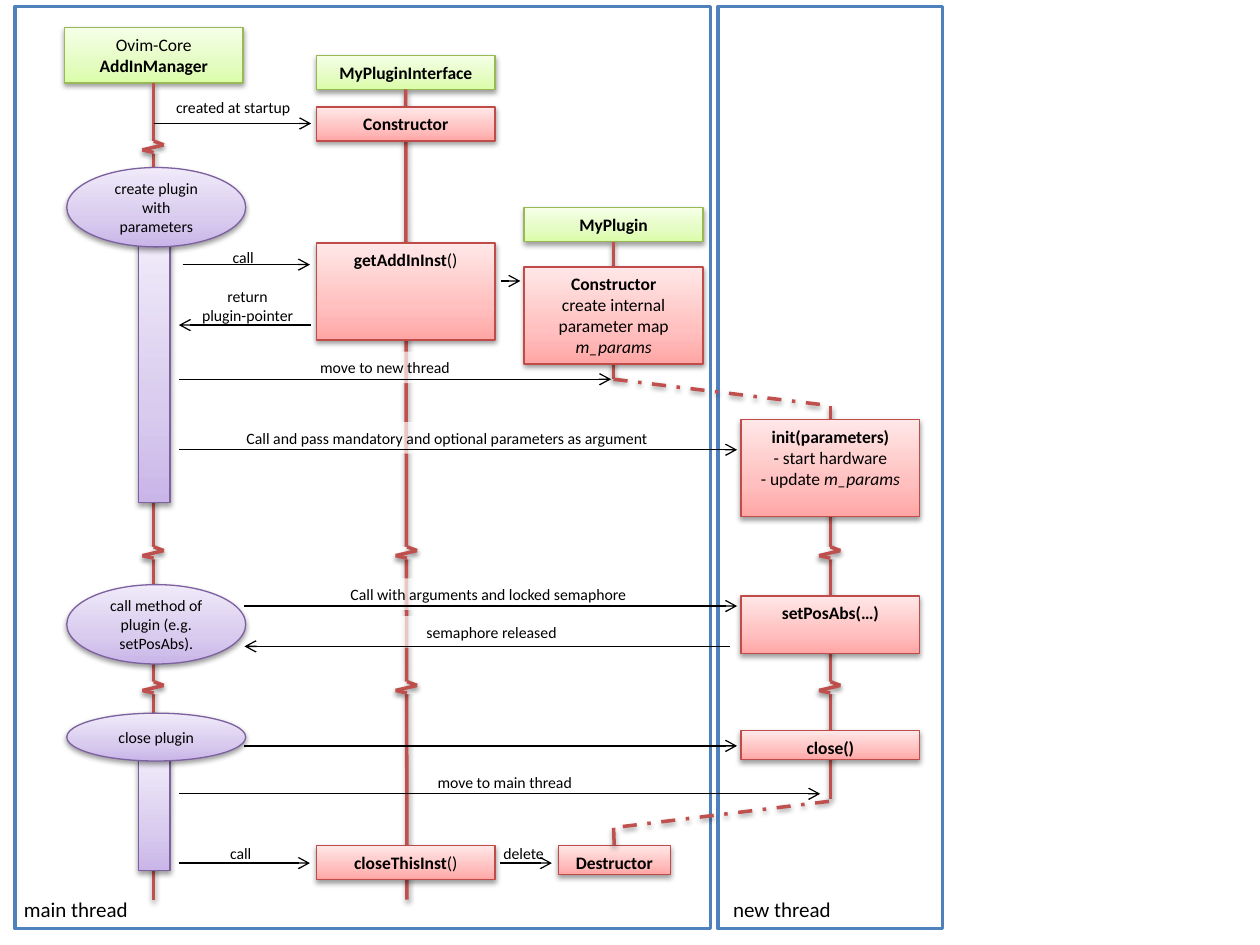
from collections import namedtuple
from copy import deepcopy

from lxml.etree import SubElement
from pptx import Presentation
from pptx.dml.color import RGBColor
from pptx.enum.dml import MSO_LINE
from pptx.enum.shapes import MSO_CONNECTOR, MSO_SHAPE
from pptx.enum.text import MSO_ANCHOR, PP_ALIGN
from pptx.oxml.ns import qn
from pptx.util import Inches, Pt

WHITE = RGBColor(0xFF, 0xFF, 0xFF)
BLACK = RGBColor(0, 0, 0)
BLUE = RGBColor(0x4F, 0x81, 0xBD)
RED = RGBColor(0xC0, 0x50, 0x4D)

# A theme is its outline followed by the gradient from bottom to top.
GREEN_THEME = [RGBColor.from_string(c) for c in ("98B955", "DAFDA7", "E4FCC2", "F5FFE7")]
RED_THEME = [RGBColor.from_string(c) for c in ("BF4C48", "FFA6A5", "FFC0BF", "FFE7E7")]
PURPLE_THEME = [RGBColor.from_string(c) for c in ("7D60A0", "C9B5E8", "D8CBEE", "F0EAF9")]

Box = namedtuple("Box", "left top width height")
TOP, BOTTOM = 0, 2


def set_shadow(shape, visible):
    effects = SubElement(shape._element.spPr, qn("a:effectLst"))
    if visible:
        shadow = SubElement(effects, qn("a:outerShdw"), blurRad=str(Pt(3.1)),
                            dist=str(Pt(1.6)), dir="5400000", rotWithShape="0")
        black = SubElement(shadow, qn("a:srgbClr"), val="000000")
        SubElement(black, qn("a:alpha"), val="38000")


def write_text(shape, lines, size, align=PP_ALIGN.CENTER, anchor=MSO_ANCHOR.TOP):
    """Write lines of (text, style) runs; style may hold b for bold and i for italic."""
    frame = shape.text_frame
    frame.word_wrap = True
    frame.vertical_anchor = anchor
    paragraph = frame.paragraphs[0]
    paragraph.alignment = align
    for index, line in enumerate(lines):
        if index:
            paragraph.add_line_break()
        for text, style in line:
            run = paragraph.add_run()
            run.text = text
            run.font.name = "Calibri"
            run.font.size = Pt(size)
            run.font.bold = "b" in style
            run.font.italic = "i" in style
            run.font.color.rgb = BLACK


def add_plain(shapes, box, line=None):
    rectangle = shapes.add_shape(MSO_SHAPE.RECTANGLE, *map(Inches, box))
    rectangle.fill.solid()
    rectangle.fill.fore_color.rgb = WHITE
    if line:
        rectangle.line.color.rgb = line
        rectangle.line.width = Pt(2)
    else:
        rectangle.line.fill.background()
    set_shadow(rectangle, False)
    return rectangle


def add_block(shapes, box, theme, lines=(), kind=MSO_SHAPE.RECTANGLE):
    block = shapes.add_shape(kind, *map(Inches, box))
    outline, low, middle, high = theme
    block.fill.gradient()
    block.fill.gradient_angle = 90
    first, last = block.fill.gradient_stops
    first.color.rgb, first.position = low, 0
    last.color.rgb, last.position = middle, 0.35
    stops = block._element.spPr.find(qn("a:gradFill")).find(qn("a:gsLst"))
    stops.append(deepcopy(stops[1]))
    top_stop = block.fill.gradient_stops[2]
    top_stop.color.rgb, top_stop.position = high, 1
    block.line.color.rgb = outline
    block.line.width = Pt(0.75)
    set_shadow(block, True)
    is_ellipse = kind == MSO_SHAPE.OVAL
    if lines:
        write_text(block, lines, 9 if is_ellipse else 10,
                   anchor=MSO_ANCHOR.MIDDLE if is_ellipse else MSO_ANCHOR.TOP)
    return block


def add_line(shapes, start, end, color=RED, width=2):
    line = shapes.add_connector(MSO_CONNECTOR.STRAIGHT, *map(Inches, (*start, *end)))
    line.line.color.rgb = color
    line.line.width = Pt(width)
    set_shadow(line, color == RED)
    return line


def add_arrow(shapes, start, end):
    arrow = add_line(shapes, start, end, BLACK, 0.75)
    SubElement(arrow.line._get_or_add_ln(), qn("a:tailEnd"), type="arrow")


def add_handover(shapes, start, end):
    add_line(shapes, start, end).line.dash_style = MSO_LINE.DASH_DOT


def add_break(shapes, x, y):
    """Interrupt a lifeline with a zigzag."""
    group = shapes.add_group_shape().shapes
    add_plain(group, (x - 0.16, y, 0.31, 0.1))
    points = [(x, y), (x + 0.08, y + 0.03), (x - 0.09, y + 0.07), (x, y + 0.09)]
    for start, end in zip(points, points[1:]):
        add_line(group, start, end)


def draw_thread(shapes, box, name, inset):
    add_plain(shapes, box, BLUE)
    caption = shapes.add_textbox(*map(Inches, (box.left + inset, box.top + 7.02, 1.65, 0.3)))
    write_text(caption, [[(name, "")]], 12, PP_ALIGN.LEFT)


def draw_manager_lane(shapes, box):
    left, top, width, height = box
    center = left + width / 2
    header = add_block(shapes, (left, top, width, 0.44), GREEN_THEME,
                       [[("Ovim-Core", "")], [("AddInManager", "b")]])
    lifeline = add_line(shapes, (center, top + 0.44), (center, top + height))
    lifeline.begin_connect(header, BOTTOM)
    for y in (0.9, 4.12, 5.19):
        add_break(shapes, center, top + y)
    for y, length in ((1.7, 2.07), (5.81, 0.88)):
        add_block(shapes, (center - 0.12, top + y, 0.25, length), PURPLE_THEME)
    for y, depth, step in ((1.11, 0.63, "create plugin with parameters"),
                           (4.42, 0.63, "call method of plugin (e.g. setPosAbs)."),
                           (5.44, 0.38, "close plugin")):
        add_block(shapes, (left + 0.02, top + y, width, depth), PURPLE_THEME,
                  [[(step, "")]], MSO_SHAPE.OVAL)


def draw_interface_lane(shapes, box):
    left, top, width, height = box
    center = left + width / 2
    header = add_block(shapes, (left, top, width, 0.27), GREEN_THEME,
                       [[("MyPluginInterface", "b")]])
    lifeline = add_line(shapes, (center, top + 0.27), (center + 0.01, top + height))
    lifeline.begin_connect(header, BOTTOM)
    for y in (3.9, 4.97):
        add_break(shapes, center + 0.01, top + y)
    for y, depth, runs in ((0.41, 0.27, [("Constructor", "b")]),
                           (1.49, 0.77, [("getAddInInst", "b"), ("()", "")]),
                           (6.27, 0.27, [("closeThisInst", "b"), ("()", "")])):
        add_block(shapes, (left, top + y, width, depth), RED_THEME, [runs])


def draw_plugin_lane(shapes, box):
    left, top, width, height = box
    center = left + width / 2
    header = add_block(shapes, (left, top, width, 0.27), GREEN_THEME, [[("MyPlugin", "b")]])
    lifeline = add_line(shapes, (center, top + 0.27), (center, top + 1.36))
    lifeline.begin_connect(header, BOTTOM)
    add_block(shapes, (left, top + 0.47, width, 0.77), RED_THEME,
              [[("Constructor", "b")],
               [("create internal parameter map ", ""), ("m_params", "i")]])
    destructor = add_block(shapes, (center - 0.44, top + height - 0.23, 0.89, 0.23),
                           RED_THEME, [[("Destructor", "b")]])
    final_line = add_line(shapes, (center, top + 4.92), (center, top + height - 0.23))
    final_line.end_connect(destructor, TOP)


def draw_worker_lane(shapes, box):
    left, top, width, height = box
    center = left + width / 2
    add_line(shapes, (center, top), (center, top + height))
    for y in (1.12, 2.19):
        add_break(shapes, center, top + y)
    init = [[("init(parameters)", "b")], [("- start hardware", "")],
            [("- update ", ""), ("m_params", "i")]]
    for y, depth, lines in ((0.11, 0.77, init),
                            (1.51, 0.46, [[("setPosAbs(…)", "b")]]),
                            (2.58, 0.23, [[("close()", "b")]])):
        add_block(shapes, (left, top + y, width, depth), RED_THEME, lines)


def draw_messages(shapes, box):
    left, top = box.left, box.top
    # Start x, end x, y, then label lines, label box and whether it veils the lifeline.
    messages = [
        (1.22, 2.47, 0.98, ["created at startup"], (1.22, 0.73, 1.26, 0.25), False),
        (1.45, 2.46, 2.1, ["call"], (1.46, 1.92, 0.94, 0.25), False),
        (3.98, 4.13, 2.23, [], None, False),
        (2.47, 1.42, 2.58, ["return", "plugin-pointer"], (1.26, 2.23, 1.41, 0.4), False),
        (1.42, 4.85, 3.01, ["move to new thread"], (2.35, 2.79, 1.41, 0.25), True),
        (1.42, 5.85, 3.57, ["Call and pass mandatory and optional parameters as argument"],
         (1.52, 3.35, 4.05, 0.25), True),
        (1.94, 5.85, 4.81, ["Call with arguments and locked semaphore"],
         (2.16, 4.59, 3.43, 0.25), True),
        (5.79, 1.94, 5.13, ["semaphore released"], (2.99, 4.89, 1.82, 0.25), True),
        (1.94, 5.85, 5.92, [], None, False),
        (1.42, 6.51, 6.3, ["move to main thread"], (3.3, 6.08, 1.41, 0.25), True),
        (1.42, 2.46, 6.85, ["call"], (1.4, 6.65, 1.02, 0.25), True),
        (3.97, 4.38, 6.85, ["delete"], (3.86, 6.65, 0.59, 0.25), False),
    ]
    for start, end, y, lines, (x, label_top, *size), veiled in (
            (*m[:4], m[4] or (0, 0, 0, 0), m[5]) for m in messages):
        if lines:
            place = (left + x, top + label_top, *size)
            if veiled:
                label = add_plain(shapes, place)
                color = label._element.spPr.find(qn("a:solidFill"))[0]
                SubElement(color, qn("a:alpha"), val="68000")
            else:
                label = shapes.add_textbox(*map(Inches, place))
            write_text(label, [[(line, "")] for line in lines], 9)
        add_arrow(shapes, (left + start, top + y), (left + end, top + y))
    add_handover(shapes, (left + 4.87, top + 3.01), (left + 6.59, top + 3.22))
    add_handover(shapes, (left + 6.58, top + 6.36), (left + 4.86, top + 6.57))


def main():
    deck = Presentation()
    deck.slide_width, deck.slide_height = Inches(10), Inches(7.5)
    shapes = deck.slides.add_slide(deck.slide_layouts[6]).shapes
    draw_thread(shapes, Box(5.7, 0.05, 1.78, 7.32), "new thread", 0.02)
    draw_thread(shapes, Box(0.12, 0.05, 5.52, 7.32), "main thread", -0.03)
    draw_manager_lane(shapes, Box(0.51, 0.22, 1.42, 6.92))
    draw_interface_lane(shapes, Box(2.51, 0.44, 1.42, 6.7))
    draw_plugin_lane(shapes, Box(4.16, 1.65, 1.42, 5.29))
    draw_worker_lane(shapes, Box(5.88, 3.22, 1.42, 3.12))
    draw_messages(shapes, Box(0, 0, 10, 7.5))
    deck.save("out.pptx")


if __name__ == "__main__":
    main()
